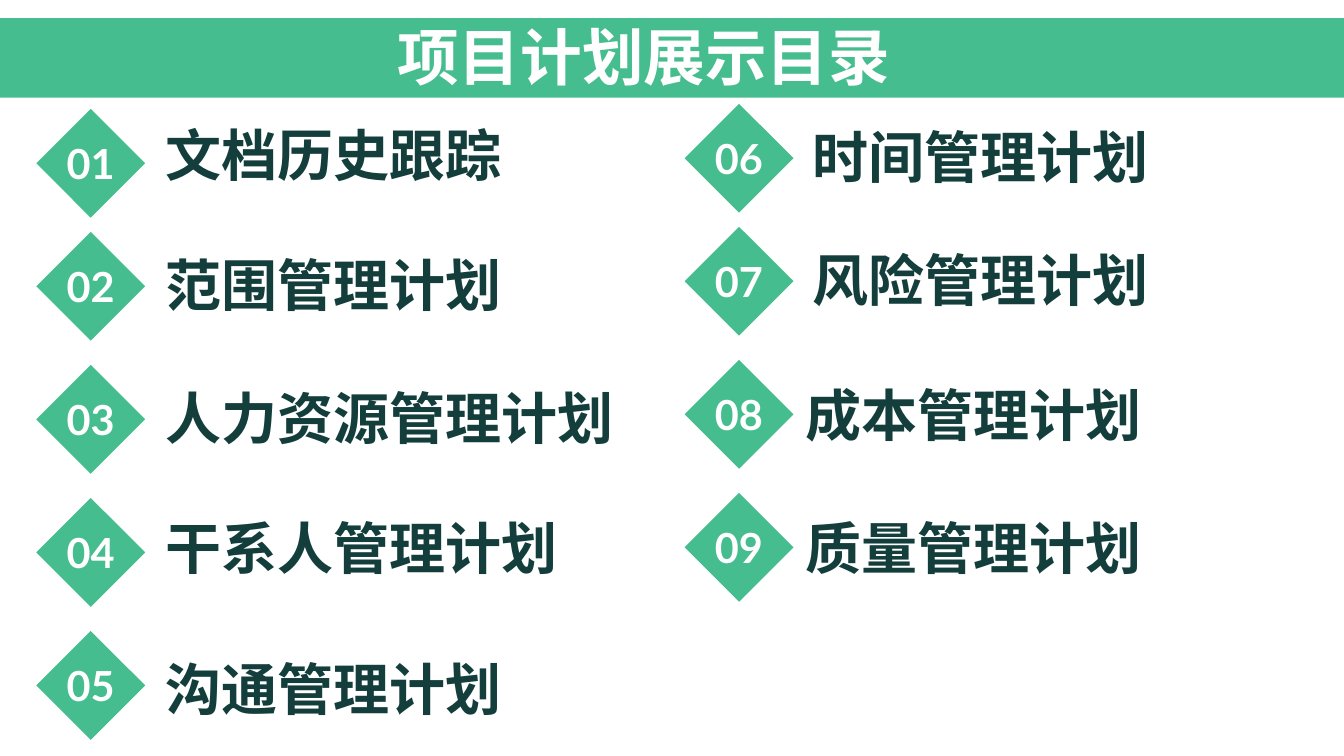
from pptx import Presentation
from pptx.dml.color import RGBColor
from pptx.enum.shapes import MSO_SHAPE as Shape
from pptx.enum.text import MSO_ANCHOR as Anchor, MSO_AUTO_SIZE as AutoSize, PP_ALIGN as Align
from pptx.util import Inches, Pt

TITLE = "项目计划展示目录"
# Each entry: label, label left from the diamond, label bottom from the diamond's top
COLUMNS = [
    [("文档历史跟踪", 0.76, 0.78), ("范围管理计划", 0.76, 0.85),
     ("人力资源管理计划", 0.76, 0.85), ("干系人管理计划", 0.76, 0.82),
     ("沟通管理计划", 0.76, 0.90)],
    [("时间管理计划", 0.75, 0.85), ("风险管理计划", 0.75, 0.85),
     ("成本管理计划", 0.68, 0.87), ("质量管理计划", 0.68, 0.87)],
]

GREEN = RGBColor(0x45, 0xBD, 0x8F)
DARK = RGBColor(0x13, 0x3E, 0x3B)
WHITE = RGBColor(0xFF, 0xFF, 0xFF)
FONT = "Lato"

SLIDE_W, SLIDE_H = 13.33, 7.5
COLUMN_ORIGINS = [(0.36, 1.08), (6.79, 1.03)]
ROW_OFFSETS = [0, 1.22] + [1.22 + 1.32 * step for step in (1, 2, 3)]
DIAMOND = 1.08
LABEL_W, LABEL_H = 3.9, 0.63


def write(shape, text, size, color, align, anchor, insets):
    frame = shape.text_frame
    frame.text = text
    frame.word_wrap = False
    frame.auto_size = AutoSize.NONE
    frame.vertical_anchor = anchor
    (frame.margin_left, frame.margin_top,
     frame.margin_right, frame.margin_bottom) = [Inches(inset) for inset in insets]
    paragraph = frame.paragraphs[0]
    paragraph.alignment = align
    font = paragraph.runs[0].font
    font.name, font.size, font.bold = FONT, Pt(size), True
    font.color.rgb = color


def write_heading(shape, text, size, color):
    write(shape, text, size, color, Align.LEFT, Anchor.BOTTOM, (0.52, 0, 0, 0))


def add_green(slide, kind, left, top, width, height):
    shape = slide.shapes.add_shape(
        kind, Inches(left), Inches(top), Inches(width), Inches(height))
    shape.shadow.inherit = False
    shape.fill.solid()
    shape.fill.fore_color.rgb = GREEN
    shape.line.fill.background()
    return shape


def main():
    deck = Presentation()
    deck.slide_width, deck.slide_height = Inches(SLIDE_W), Inches(SLIDE_H)
    slide = deck.slides.add_slide(deck.slide_layouts[5])

    number = 0
    for (left, first_top), entries in zip(COLUMN_ORIGINS, COLUMNS):
        for offset, (label, label_shift, label_bottom) in zip(ROW_OFFSETS, entries):
            number += 1
            top = first_top + offset
            diamond = add_green(slide, Shape.DIAMOND, left, top, DIAMOND, DIAMOND)
            write(diamond, f"{number:02d}", 29.6, WHITE, Align.CENTER,
                  Anchor.MIDDLE, (0.13, 0.07, 0.13, 0.07))
            heading = slide.shapes.add_textbox(
                Inches(left + label_shift), Inches(top + label_bottom - LABEL_H),
                Inches(LABEL_W), Inches(LABEL_H))
            write_heading(heading, label, 40, DARK)

    add_green(slide, Shape.RECTANGLE, 0, 0.18, SLIDE_W, 0.79)
    title = slide.shapes.title
    title.left, title.top = Inches(3.42), Inches(0.15)
    title.width, title.height = Inches(5.6), Inches(0.77)  # wide enough for one line
    write_heading(title, TITLE, 44, WHITE)
    slide.shapes.element.append(title.element)  # bring the title in front of its band

    deck.save("out.pptx")


if __name__ == "__main__":
    main()
